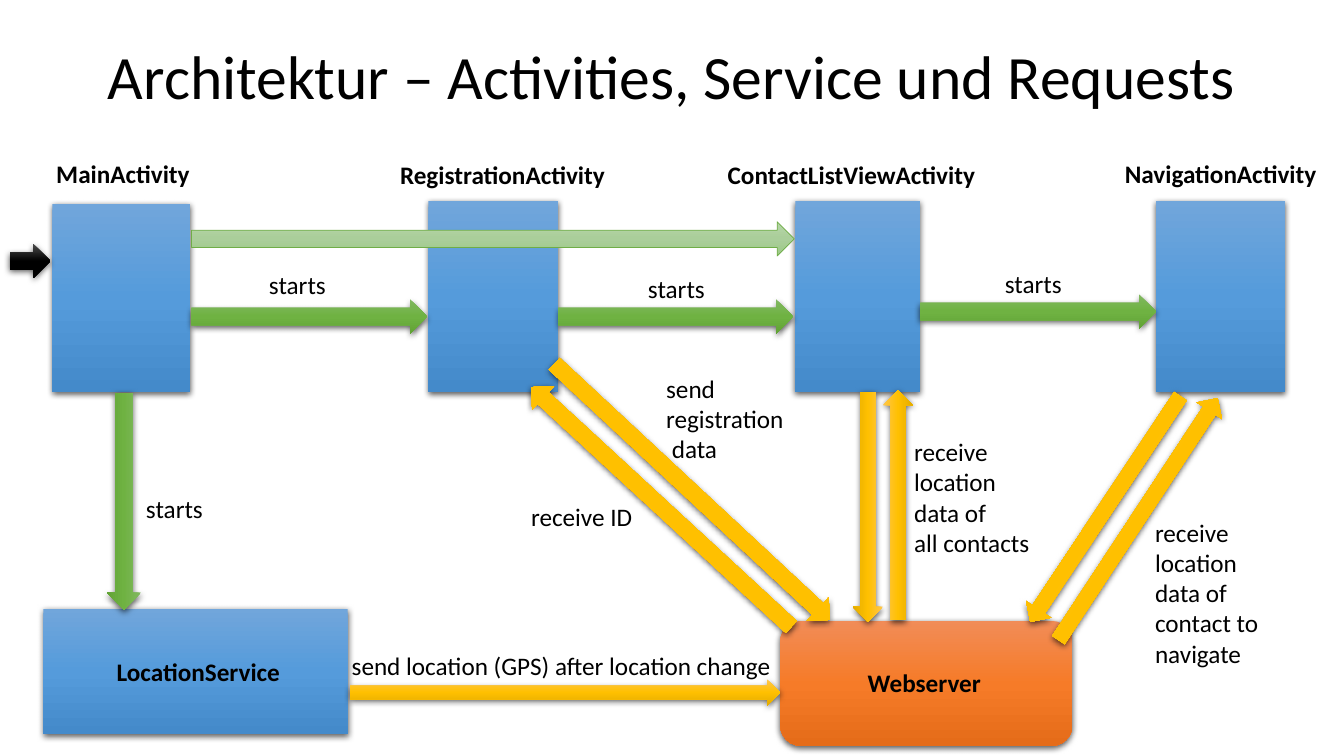
from copy import deepcopy
from dataclasses import dataclass
from math import atan2, degrees, hypot

from lxml.etree import SubElement
from pptx import Presentation
from pptx.dml.color import RGBColor as Color
from pptx.enum.shapes import MSO_SHAPE as Shape
from pptx.enum.text import MSO_ANCHOR as Anchor, MSO_AUTO_SIZE as AutoSize, PP_ALIGN as Align
from pptx.oxml.ns import qn
from pptx.util import Inches, Pt


@dataclass(frozen=True)
class Theme:
    font: str = "Calibri"
    title_size: int = 44
    label_size: int = 18
    text: str = "000000"
    pale_line: str = "70AD47"
    blue: tuple = ("71A6DB", "559BDB", "448ACA")
    orange: tuple = ("F18C57", "F67B28", "E56C19")
    green: tuple = ("81B861", "6FB242", "62A336")
    pale_green: tuple = ("B5D5A7", "AACE9A", "9CC987")
    yellow: tuple = ("FFC64B", "FFC000", "E3AB00")
    black: tuple = ("4B4B4B", "000000", "000000")


THEME = Theme()
COLUMNS, ROWS = 133.33, 75
ACTIVITY_BOTTOM = 38.9
LINE_ROWS = 3.03

ACTIVITIES = [
    ("MainActivity", (5.2, 20.2, 13.7), (4.6, 15.2, 15.4)),
    ("RegistrationActivity", (42.5, 19.9, 12.9), (38.7, 15.3, 22.5)),
    ("ContactListViewActivity", (78.9, 19.9, 12.4), (71.2, 15.3, 26.8)),
    ("NavigationActivity", (114.7, 19.9, 12.8), (110.6, 15.2, 21.2)),
]
SERVERS = [
    ("LocationService", Shape.RECTANGLE, THEME.blue, (4.3, 60.4, 30.2, 12.4), (10.6, 64.6, 18.4)),
    ("Webserver", Shape.ROUNDED_RECTANGLE, THEME.orange, (77.4, 61.6, 29, 12.4), (85.1, 65.7, 13.3)),
]
START_ARROWS = [
    ((19, 31.4), (42.4, 31.4)),
    ((55.4, 31.4), (78.7, 31.4)),
    ((91.3, 30.9), (114.7, 30.9)),
    ((12.3, 39), (12.3, 60.5)),
]
REQUEST_ARROWS = [
    ((34.7, 68.7), (77.4, 68.7), 2.6),
    ((55, 36.1), (82.3, 61.5), 3.2),
    ((78.5, 62.2), (52.7, 38.4), 3.2),
    ((86.1, 38.9), (86.1, 61.7), 3),
    ((89.1, 61.5), (89.1, 38.7), 3),
    ((117.1, 39.3), (102.2, 61.7), 3),
    ((105, 63.5), (120.8, 39.5), 3),
]
START_LABELS = [(25.7, 26.2), (63.3, 26.6), (98.7, 26.1), (13.5, 48.4)]
REQUEST_LABELS = [
    (["send location (GPS) after location change"], (33.9, 64, 44.2)),
    (["send", "registration", " data"], (65.1, 36.5, 13.8)),
    (["receive ID"], (51.7, 49.2, 12.2)),
    (["receive", "location", "data of", "all contacts"], (89.7, 42.8, 13.6)),
    (["receive", "location", "data of", "contact to", "navigate"], (113.6, 50.8, 12.9)),
]


def grid(*cells):
    return [Inches(cell / 10) for cell in cells]


def shade(shape, colours):
    fill = shape.fill
    fill.gradient()
    fill.gradient_angle = 270
    stops = shape.element.spPr.find(qn("a:gradFill")).find(qn("a:gsLst"))
    stops.append(deepcopy(stops[0]))
    for stop, position, colour in zip(fill.gradient_stops, (0, 0.5, 1), colours):
        stop.position = position
        stop.color.rgb = Color.from_string(colour)


def add_shadow(shape):
    effects = shape.element.spPr.find(qn("a:effectLst"))
    shadow = SubElement(effects, qn("a:outerShdw"), blurRad=str(Pt(4.5)),
                        dist=str(Pt(1.5)), dir="5400000", algn="ctr", rotWithShape="0")
    colour = SubElement(shadow, qn("a:srgbClr"), val="000000")
    SubElement(colour, qn("a:alpha"), val="63000")


def add_block(page, kind, place, colours, outline=None):
    shape = page.shapes.add_shape(kind, *grid(*place))
    shade(shape, colours)
    shape.shadow.inherit = False
    if outline:
        shape.line.color.rgb = Color.from_string(outline)
        shape.line.width = Pt(0.5)
    else:
        shape.line.fill.background()
        add_shadow(shape)
    return shape


def add_arrow(page, start, end, thickness, colours, outline=None):
    across, down = end[0] - start[0], end[1] - start[1]
    length = hypot(across, down)
    left = (start[0] + end[0] - length) / 2
    top = (start[1] + end[1] - thickness) / 2
    arrow = add_block(page, Shape.RIGHT_ARROW, (left, top, length, thickness), colours, outline)
    arrow.rotation = degrees(atan2(down, across))


def style(paragraph, size, bold=False):
    paragraph.alignment = Align.LEFT
    font = paragraph.font
    font.name, font.size, font.bold = THEME.font, Pt(size), bold
    font.color.rgb = Color.from_string(THEME.text)


def add_label(page, lines, place, bold=False):
    left, top, width = place
    box = page.shapes.add_textbox(*grid(left, top, width, 1 + LINE_ROWS * len(lines)))
    frame = box.text_frame
    frame.word_wrap = False
    frame.auto_size = AutoSize.SHAPE_TO_FIT_TEXT
    frame.text = "\n".join(lines)
    for paragraph in frame.paragraphs:
        style(paragraph, THEME.label_size, bold)


def set_title(page, text, place):
    title = page.shapes.title
    title.left, title.top, title.width, title.height = grid(*place)
    frame = title.text_frame
    frame.text = text
    frame.word_wrap = False
    frame.auto_size = AutoSize.SHAPE_TO_FIT_TEXT
    frame.vertical_anchor = Anchor.TOP
    style(frame.paragraphs[0], THEME.title_size)


def main():
    deck = Presentation()
    deck.slide_width, deck.slide_height = grid(COLUMNS, ROWS)
    page = deck.slides.add_slide(deck.slide_layouts[5])
    set_title(page, "Architektur – Activities, Service und Requests", (9.7, 3.3, 117.8, 8.4))

    for name, (left, top, width), label in ACTIVITIES:
        add_block(page, Shape.RECTANGLE, (left, top, width, ACTIVITY_BOTTOM - top), THEME.blue)
        add_label(page, [name], label, bold=True)
    for name, kind, colours, place, label in SERVERS:
        add_block(page, kind, place, colours)
        add_label(page, [name], label, bold=True)

    add_arrow(page, (1, 25.9), (5, 25.9), 3.4, THEME.black)
    add_arrow(page, (19, 23.7), (78.8, 23.7), 3.4, THEME.pale_green, THEME.pale_line)
    for start, end in START_ARROWS:
        add_arrow(page, start, end, 3.4, THEME.green)
    for start, end, thickness in REQUEST_ARROWS:
        add_arrow(page, start, end, thickness, THEME.yellow)

    for left, top in START_LABELS:
        add_label(page, ["starts"], (left, top, 7.7))
    for lines, place in REQUEST_LABELS:
        add_label(page, lines, place)

    deck.save("out.pptx")


main()
